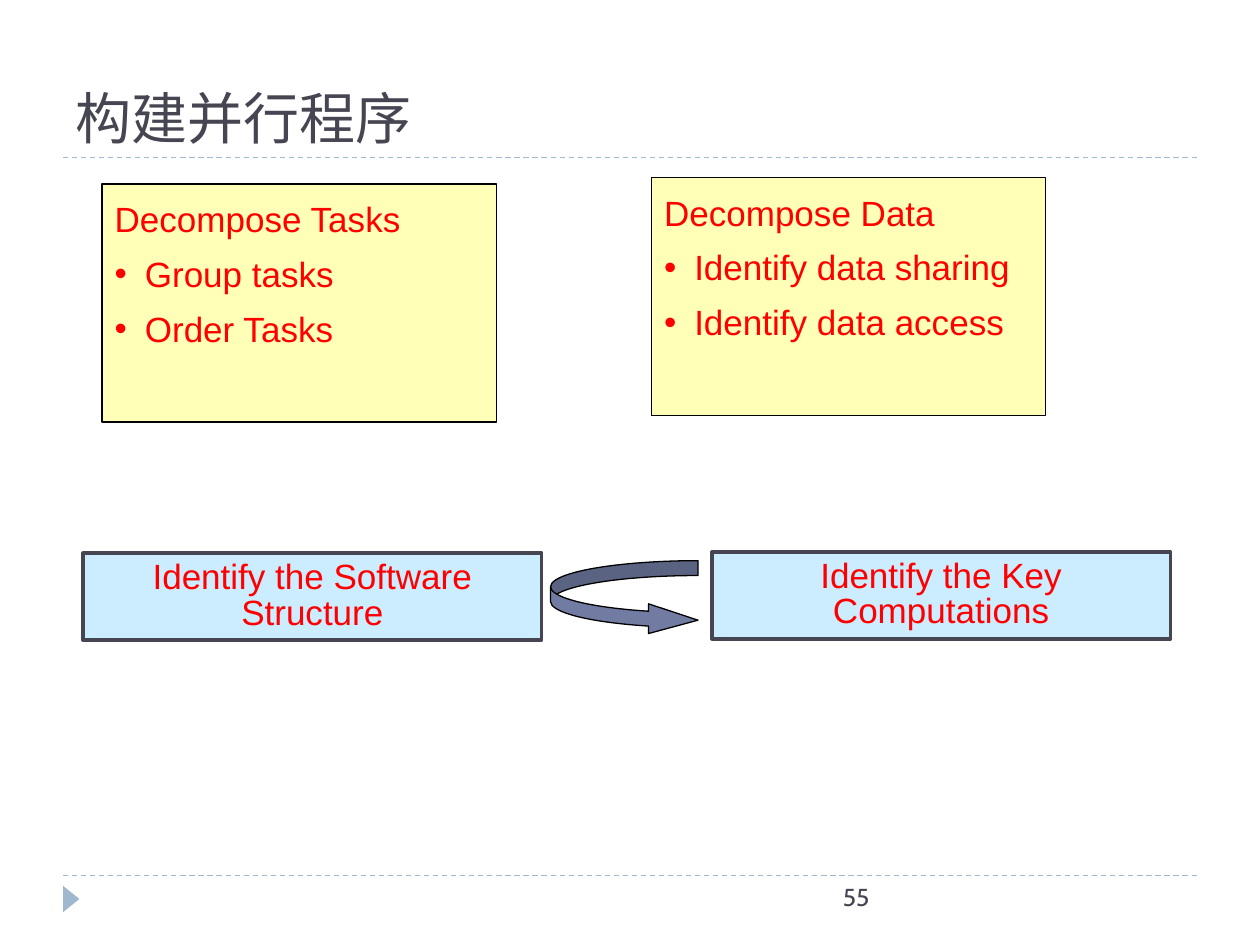
import pptx
import pptx.util
import pptx.dml.color
import pptx.enum.dml
import pptx.enum.shapes
import pptx.enum.text
import pptx.oxml
import pptx.oxml.ns

RGB = pptx.dml.color.RGBColor
KIND = pptx.enum.shapes.MSO_SHAPE
SIDE = pptx.enum.text.PP_ALIGN
ANCHOR = pptx.enum.text.MSO_ANCHOR

INK = RGB(0x46, 0x46, 0x53)
RED = RGB(0xFF, 0x00, 0x00)
BLACK = RGB(0x00, 0x00, 0x00)
CREAM = RGB(0xFF, 0xFF, 0xB7)
SKY = RGB(0xCC, 0xEC, 0xFF)
MIST = RGB(0x9F, 0xB8, 0xCD)
SLATE = RGB(0x72, 0x7C, 0xA3)

WIDE, HIGH = pptx.util.Inches(10), pptx.util.Inches(7.5)
COLS, ROWS = 100, 75

TASKS = ["Decompose Tasks", "Group tasks", "Order Tasks"]
DATA = ["Decompose Data", "Identify data sharing", "Identify data access"]


def col(num):
    return round(WIDE * num / COLS)


def row(num):
    return round(HIGH * num / ROWS)


def area(left, top, width, height):
    return col(left), row(top), col(width), row(height)


def move(item, spot):
    item.left, item.top, item.width, item.height = area(*spot)


def paint(item, fill, edge=None, weight=0.75):
    item.fill.solid()
    item.fill.fore_color.rgb = fill
    if edge is None:
        item.line.fill.background()
    else:
        item.line.color.rgb = edge
        item.line.width = pptx.util.Pt(weight)


def write(para, text, size, font, ink, side=SIDE.LEFT):
    para.alignment = side
    run = para.add_run()
    run.text = text
    run.font.size = pptx.util.Pt(size)
    run.font.name = font
    run.font.color.rgb = ink


def setup(frame, anchor):
    frame.word_wrap = True
    frame.auto_size = pptx.enum.text.MSO_AUTO_SIZE.NONE
    frame.vertical_anchor = anchor


def mark(para, dot):
    props = para._p.get_or_add_pPr()
    indent = col(2.4) if dot else 0
    props.set("marL", str(indent))
    props.set("indent", str(-indent))
    tag = '<a:buChar %s char="•"/>' if dot else "<a:buNone %s/>"
    props.append(pptx.oxml.parse_xml(tag % pptx.oxml.ns.nsdecls("a")))


def add_rule(slide, level):
    rule = slide.shapes.add_connector(
        pptx.enum.shapes.MSO_CONNECTOR.STRAIGHT,
        col(5), row(level), col(95), row(level))
    rule.line.color.rgb = MIST
    rule.line.width = pptx.util.Pt(0.75)
    rule.line.dash_style = pptx.enum.dml.MSO_LINE.DASH
    blank = "<a:effectLst %s/>" % pptx.oxml.ns.nsdecls("a")
    rule._element.spPr.append(pptx.oxml.parse_xml(blank))


def add_shape(slide, kind, spot, fill, edge=None, weight=0.75):
    item = slide.shapes.add_shape(kind, *area(*spot))
    item.shadow.inherit = False
    paint(item, fill, edge, weight)
    return item


def add_step(slide, spot, text):
    box = add_shape(slide, KIND.RECTANGLE, spot, SKY, INK, 2)
    setup(box.text_frame, ANCHOR.MIDDLE)
    para = box.text_frame.paragraphs[0]
    para.line_spacing = 0.85
    write(para, text, 20, "Arial", RED, SIDE.CENTER)


def fill_list(holder, spot, lines):
    move(holder, spot)
    paint(holder, CREAM, BLACK)
    frame = holder.text_frame
    setup(frame, ANCHOR.MIDDLE)
    frame.margin_bottom = row(4.7)
    for num, text in enumerate(lines):
        para = frame.paragraphs[0] if num == 0 else frame.add_paragraph()
        para.line_spacing = 0.85
        para.space_before = pptx.util.Pt(11 if num else 0)
        mark(para, num > 0)
        write(para, text, 20, "Arial", RED)


def fill_title(holder, text):
    move(holder, (5, 1.7, 90, 10.8))
    setup(holder.text_frame, ANCHOR.BOTTOM)
    write(holder.text_frame.paragraphs[0], text, 32, "Roboto Slab", INK)


def add_number(slide, text):
    box = slide.shapes.add_textbox(*area(31.7, 69.5, 38.3, 4))
    setup(box.text_frame, ANCHOR.TOP)
    write(box.text_frame.paragraphs[0], text, 14, "Cabin", INK, SIDE.RIGHT)


def add_arrow(slide):
    arrow = add_shape(slide, KIND.CURVED_RIGHT_ARROW,
                      (43.7, 44.5, 11.7, 5.9), SLATE, BLACK)
    for num, share in enumerate((0.2, 0.4, 0.665)):
        arrow.adjustments[num] = share


def main():
    deck = pptx.Presentation()
    deck.slide_width, deck.slide_height = WIDE, HIGH
    slide = deck.slides.add_slide(deck.slide_layouts[3])
    title, left, right = slide.placeholders
    for level in (69.5, 12.5):
        add_rule(slide, level)
    wedge = add_shape(slide, KIND.ISOSCELES_TRIANGLE,
                      (4.6, 70.7, 2.1, 1.3), MIST)
    wedge.rotation = 90
    add_number(slide, "55")
    fill_title(title, "构建并行程序")
    fill_list(left, (8.1, 14.6, 31.3, 18.9), TASKS)
    fill_list(right, (51.7, 14.1, 31.3, 18.9), DATA)
    add_arrow(slide)
    add_step(slide, (6.6, 43.9, 36.4, 6.9), "Identify the Software Structure")
    add_step(slide, (56.5, 43.8, 36.4, 6.9), "Identify the Key Computations")
    deck.save("out.pptx")


if __name__ == "__main__":
    main()
